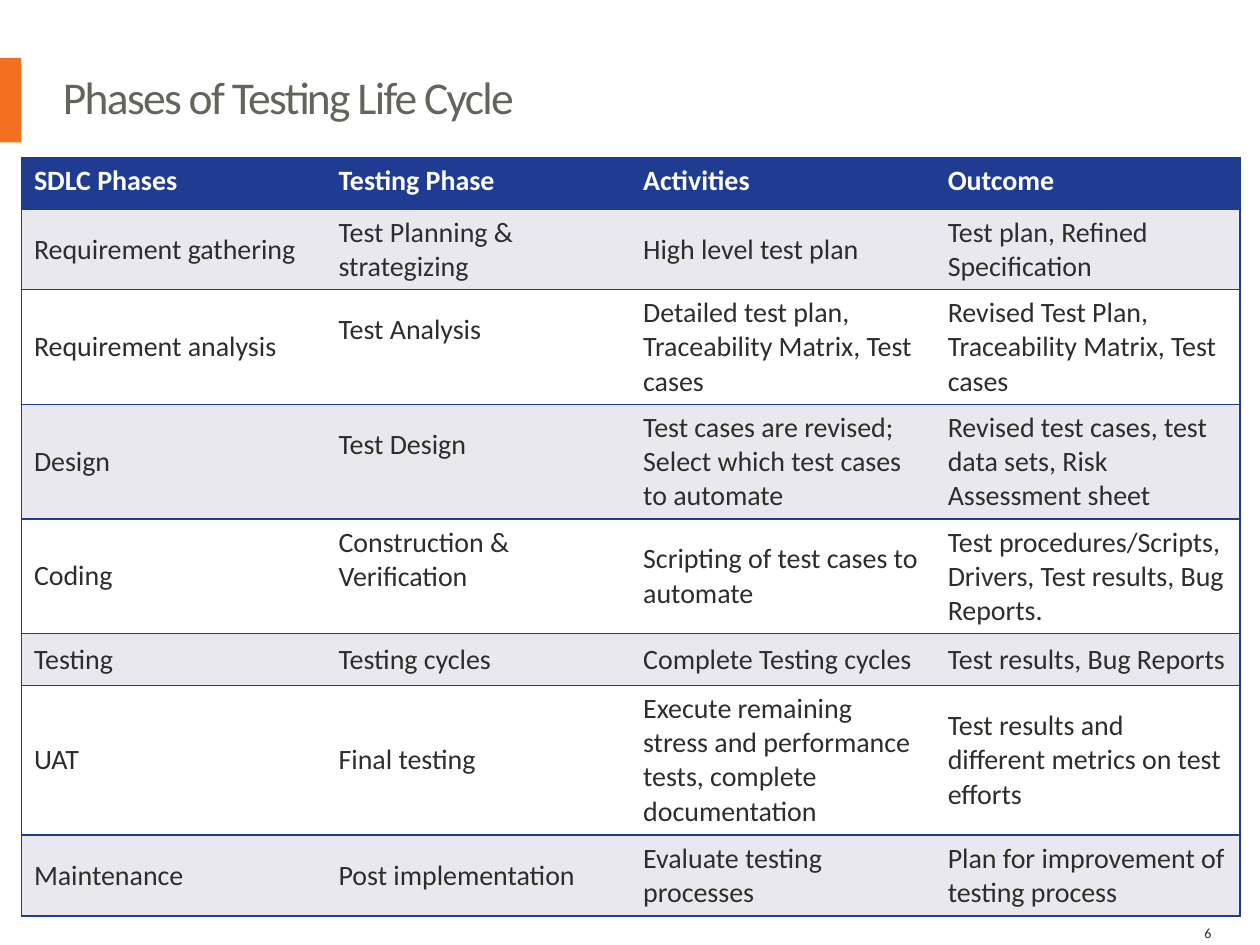
import pptx
import pptx.dml.color
import pptx.enum.shapes
import pptx.enum.text
import pptx.oxml.ns
import pptx.util
import lxml.etree

COLORS = {"navy": "1F3C92", "band": "E8E8EE", "white": "FFFFFF",
          "orange": "F37021", "title": "64645D", "ink": "2D2D2A"}
LINE_HEIGHT = 0.27
MARGIN_Y = 0.05
qn = pptx.oxml.ns.qn
Inches = pptx.util.Inches
ANCHOR = pptx.enum.text.MSO_ANCHOR


def write(frame, text, size, color, bold=False, tracking=None, spacing=None):
    """Put one formatted run of text into a text frame."""
    paragraph = frame.paragraphs[0]
    if spacing:
        paragraph.line_spacing = spacing
    run = paragraph.add_run()
    run.text = text
    run.font.name = "Calibri"
    run.font.size = pptx.util.Pt(size)
    run.font.bold = bold
    run.font.color.rgb = pptx.dml.color.RGBColor.from_string(COLORS[color])
    if tracking:
        run.font._element.set("spc", str(int(tracking * 100)))


def add_border(cell, side):
    """Draw a one point navy line on one side (L, R, T or B) of a cell."""
    line = lxml.etree.SubElement(cell._tc.get_or_add_tcPr(), qn(f"a:ln{side}"), w="12700")
    fill = lxml.etree.SubElement(line, qn("a:solidFill"))
    lxml.etree.SubElement(fill, qn("a:srgbClr"), val=COLORS["navy"])


deck = pptx.Presentation()
deck.slide_width, deck.slide_height = Inches(10), Inches(7.5)
slide = deck.slides.add_slide(deck.slide_layouts[6])

accent = slide.shapes.add_shape(pptx.enum.shapes.MSO_SHAPE.RECTANGLE,
                                0, Inches(0.46), Inches(0.17), Inches(0.67))
accent.shadow.inherit = False
accent.fill.solid()
accent.fill.fore_color.rgb = pptx.dml.color.RGBColor.from_string(COLORS["orange"])
accent.line.fill.background()

captions = [
    ((0.5, 0.51, 9, 0.57), "Phases of Testing Life Cycle", ANCHOR.MIDDLE,
     dict(size=26, color="title", tracking=-1, spacing=0.9)),
    ((9.56, 7.34, 0.43, 0.15), "6", ANCHOR.TOP, dict(size=8, color="ink")),
]
for place, text, anchor, style in captions:
    frame = slide.shapes.add_textbox(*map(Inches, place)).text_frame
    frame.word_wrap = True
    frame.vertical_anchor = anchor
    frame.margin_left = frame.margin_right = frame.margin_top = frame.margin_bottom = 0
    write(frame, text, **style)

# Each entry: row height, then the four cells
phases = [
    (0.41, "SDLC Phases", "Testing Phase", "Activities", "Outcome"),
    (0.64, "Requirement gathering", "Test Planning & strategizing",
     "High level test plan", "Test plan, Refined Specification"),
    (0.91, "Requirement analysis", "Test Analysis",
     "Detailed test plan, Traceability Matrix, Test cases",
     "Revised Test Plan, Traceability Matrix, Test cases"),
    (0.91, "Design", "Test Design",
     "Test cases are revised; Select which test cases to automate",
     "Revised test cases, test data sets, Risk Assessment sheet"),
    (0.91, "Coding", "Construction & Verification",
     "Scripting of test cases to automate",
     "Test procedures/Scripts, Drivers, Test results, Bug Reports."),
    (0.41, "Testing", "Testing cycles", "Complete Testing cycles",
     "Test results, Bug Reports"),
    (1.19, "UAT", "Final testing",
     "Execute remaining stress and performance tests, complete documentation",
     "Test results and different metrics on test efforts"),
    (0.64, "Maintenance", "Post implementation", "Evaluate testing processes",
     "Plan for improvement of testing process"),
]
raised = {"Test Analysis", "Test Design", "Construction & Verification"}
columns = len(phases[0]) - 1
life_cycle = slide.shapes.add_table(
    len(phases), columns, Inches(0.17), Inches(1.25), Inches(9.67),
    Inches(sum(phase[0] for phase in phases))).table
life_cycle.horz_banding = False
# "No Style, No Grid"
life_cycle._tbl.tblPr.find(qn("a:tableStyleId")).text = "{2D5ABB26-0587-4C30-8999-92F81FD0307C}"

for r, (height, *texts) in enumerate(phases):
    life_cycle.rows[r].height = Inches(height)
    header = r == 0
    background = "navy" if header else ("band" if r % 2 else "white")
    for c, text in enumerate(texts):
        cell = life_cycle.cell(r, c)
        cell.vertical_anchor = ANCHOR.TOP if header else ANCHOR.MIDDLE
        cell.margin_left = cell.margin_right = Inches(0.1)
        cell.margin_top = Inches(MARGIN_Y)
        cell.margin_bottom = Inches(MARGIN_Y + (LINE_HEIGHT if text in raised else 0))
        sides = ("L" if c == 0 else "") + ("R" if c == columns - 1 else "") + "TB"
        for side in sides:
            add_border(cell, side)
        cell.fill.solid()
        cell.fill.fore_color.rgb = pptx.dml.color.RGBColor.from_string(COLORS[background])
        write(cell.text_frame, text, size=16, color="white" if header else "ink", bold=header)

deck.save("out.pptx")
